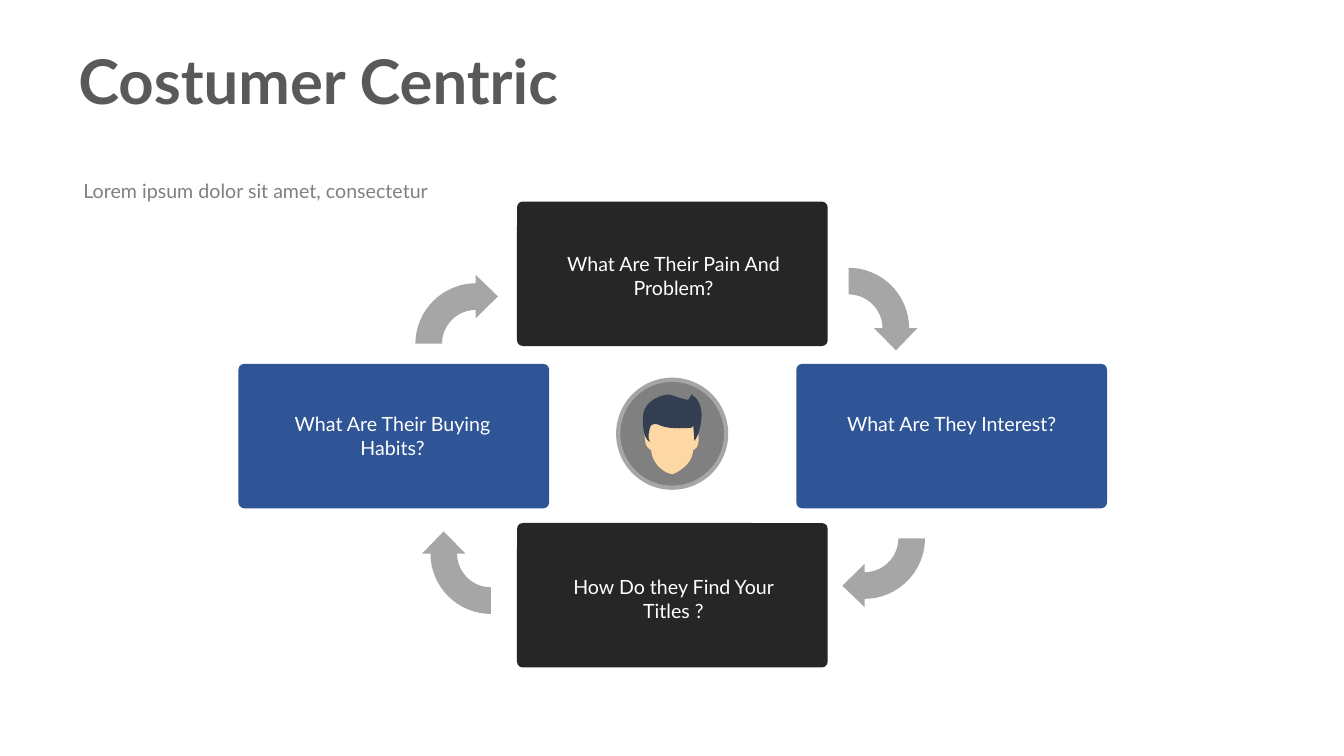
import math
import pptx
import pptx.util
import pptx.dml.color
import pptx.enum.shapes
import pptx.enum.text
import pptx.oxml.ns
import lxml.etree

Cm, Pt = pptx.util.Cm, pptx.util.Pt
SHAPE = pptx.enum.shapes.MSO_SHAPE
TEXT = pptx.enum.text
LEFT, CENTER = TEXT.PP_ALIGN.LEFT, TEXT.PP_ALIGN.CENTER
qn = pptx.oxml.ns.qn


def paint(sp, color, line=None):
    sp.shadow.inherit = False
    sp.fill.solid()
    sp.fill.fore_color.rgb = pptx.dml.color.RGBColor.from_string(color)
    if line:
        sp.line.color.rgb = pptx.dml.color.RGBColor.from_string(line)
        sp.line.width = Pt(3)
    else:
        sp.line.fill.background()


def write(sp, text, size, color, align, bold=False):
    tf = sp.text_frame
    tf.word_wrap = True
    tf.auto_size = TEXT.MSO_AUTO_SIZE.SHAPE_TO_FIT_TEXT
    tf.vertical_anchor = TEXT.MSO_ANCHOR.TOP
    p = tf.paragraphs[0]
    p.text = text
    p.alignment = align
    p.font.name, p.font.size, p.font.bold = "Lato", Pt(size), bold
    p.font.color.rgb = pptx.dml.color.RGBColor.from_string(color)
    return p


prs = pptx.Presentation()
prs.slide_width, prs.slide_height = Cm(33.87), Cm(19.05)
s = prs.slides.add_slide(prs.slide_layouts[5])

# Title and subtitle
title = s.shapes.title
title.left, title.top, title.width, title.height = Cm(1.72), Cm(1.4), Cm(22.35), Cm(1.68)
p = write(title, "Costumer Centric", 44, "595959", LEFT, True)
p.line_spacing = Pt(40)
p.space_before = Pt(0)
subtitle = s.shapes.add_textbox(Cm(1.85), Cm(4.38), Cm(10.8), Cm(1.45))
write(subtitle, "Lorem ipsum dolor sit amet, consectetur", 14, "808080", LEFT)

# Question cards: position, colour, text position, text
cards = [
    (13.03, 5.08, "262626", 13.43, 6.23, "What Are Their Pain And Problem?"),
    (13.03, 13.18, "262626", 13.43, 14.37, "How Do they Find Your Titles ?"),
    (6.01, 9.17, "2F5597", 6.35, 10.26, "What Are Their Buying Habits?"),
    (20.07, 9.17, "2F5597", 20.44, 10.26, "What Are They Interest?"),
]
for x, y, color, text_x, text_y, text in cards:
    card = s.shapes.add_shape(SHAPE.ROUNDED_RECTANGLE, Cm(x), Cm(y), Cm(7.83), Cm(3.64))
    card.adjustments[0] = 0.04
    paint(card, color)
    label = s.shapes.add_textbox(Cm(text_x), Cm(text_y), Cm(7.09), Cm(1.45))
    write(label, text, 14, "FFFFFF", CENTER)

# Portrait disc
CX, CY, SIZE = 16.94, 10.93, 2.72
disc = s.shapes.add_shape(SHAPE.OVAL, Cm(CX - SIZE / 2), Cm(CY - SIZE / 2), Cm(SIZE), Cm(SIZE))
paint(disc, "808080", "A6A6A6")

# Outlines as cubic curves: a start, then two handles and an end for each curve
INNER, OUTER, MIDDLE = 0.85, 1.52, 1.19
HEAD_INNER, HEAD_OUTER, HEAD_LENGTH = 0.64, 1.73, 0.56
ARC = 0.55
arrow = [(OUTER, 0), (OUTER, ARC * OUTER), (ARC * OUTER, OUTER), (0, OUTER)]
for corner in [(0, HEAD_OUTER), (-HEAD_LENGTH, MIDDLE), (0, HEAD_INNER), (0, INNER)]:
    arrow += [corner] * 3
arrow += [(ARC * INNER, INNER), (INNER, ARC * INNER), (INNER, 0)]
face = [
    (0.66, 0), (0.66, 0), (0.61, -0.08), (0.58, 0),
    (0.58, 0), (0.74, -0.76), (0, -0.76),
    (-0.76, -0.76), (-0.61, 0), (-0.61, 0),
    (-0.64, -0.08), (-0.69, 0), (-0.69, 0),
    (-0.71, 0.38), (-0.53, 0.41), (-0.53, 0.41),
    (-0.53, 0.41), (-0.53, 0.61), (-0.36, 0.81),
    (-0.15, 1.02), (0, 1.02), (0, 1.02),
    (0, 1.02), (0.15, 0.99), (0.36, 0.79),
    (0.53, 0.61), (0.53, 0.41), (0.53, 0.41),
    (0.53, 0.41), (0.71, 0.38), (0.66, 0),
]
hair = [
    (-0.56, 0.2), (-0.56, 0.2), (-0.74, 0.18), (-0.74, -0.38),
    (-0.74, -0.91), (-0.15, -0.99), (-0.08, -0.99),
    (0, -0.97), (0.36, -0.84), (0.41, -0.86),
    (0.46, -0.91), (0.48, -0.99), (0.48, -0.99),
    (0.48, -0.99), (0.76, -0.86), (0.74, -0.43),
    (0.71, 0.03), (0.56, 0.18), (0.56, 0.18),
    (0.53, -0.23), (0.53, -0.23), (0.53, -0.23),
    (0.53, -0.23), (0.53, -0.15), (0.48, -0.15),
    (0.46, -0.15), (-0.03, -0.1), (-0.28, -0.2),
    (-0.53, -0.33), (-0.56, -0.15), (-0.56, -0.15),
    (-0.56, -0.15), (-0.64, 0.13), (-0.56, 0.2),
]

# Arrows clockwise, then the portrait: outline, colour, centre, rotation
outlines = [
    (arrow, "A6A6A6", 11.99, 8.66, 180),
    (arrow, "A6A6A6", 21.39, 8.27, 270),
    (arrow, "A6A6A6", 21.79, 13.57, 0),
    (arrow, "A6A6A6", 12.37, 13.95, 90),
    (face, "FDD8A5", CX, CY, 0),
    (hair, "333F50", CX, CY, 0),
]
for outline, color, cx, cy, turn in outlines:
    cos, sin = math.cos(math.radians(turn)), math.sin(math.radians(turn))
    points = [(Cm(cx + x * cos - y * sin), Cm(cy + x * sin + y * cos)) for x, y in outline]
    fb = s.shapes.build_freeform(*points[0])
    fb.add_line_segments(points[1:])
    sp = fb.convert_to_shape()
    paint(sp, color)
    # Join every three line points into one curve
    lines = list(sp.element.iter(qn("a:lnTo")))
    for i in range(0, len(outline) - 1, 3):
        curve = lxml.etree.Element(qn("a:cubicBezTo"))
        lines[i].addprevious(curve)
        for line in lines[i:i + 3]:
            curve.append(line[0])
            line.getparent().remove(line)
    # A closing line repeats the start point when the outline is open
    for line in lines[len(outline) - 1:]:
        line.getparent().remove(line)

prs.save("out.pptx")
